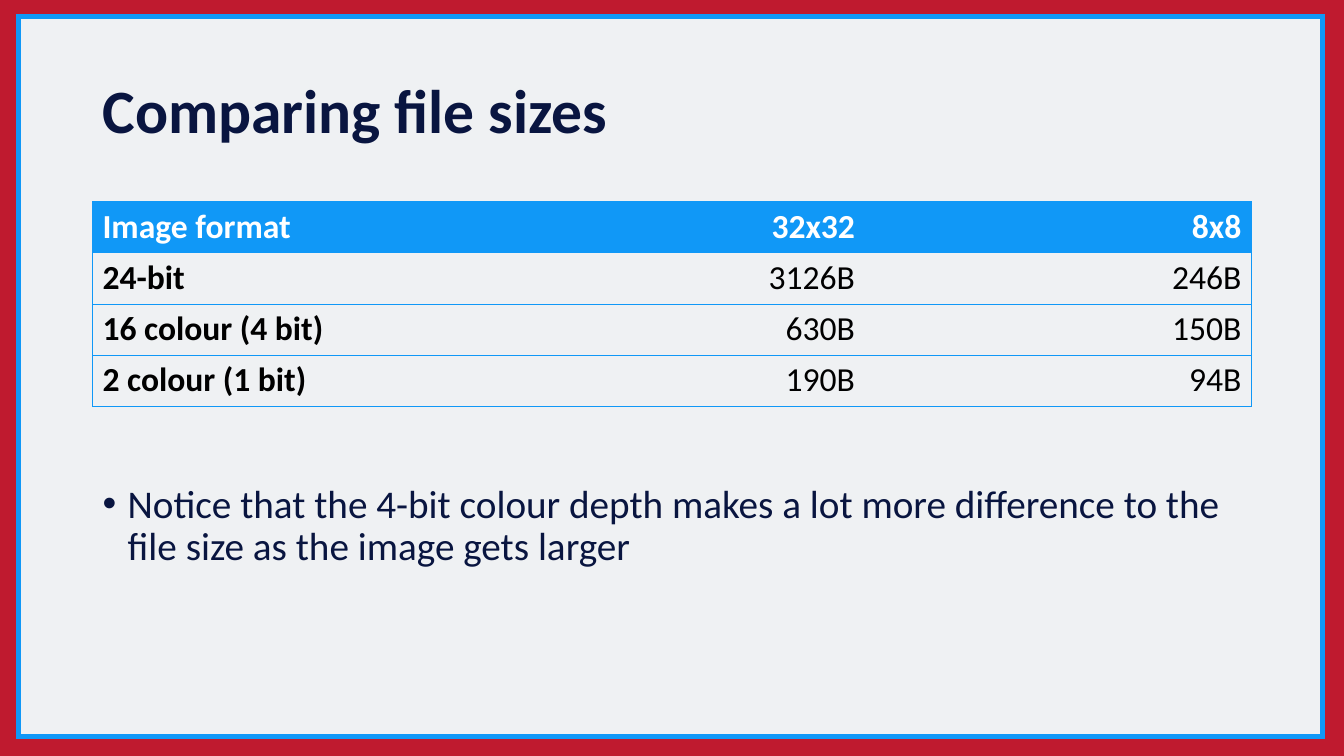
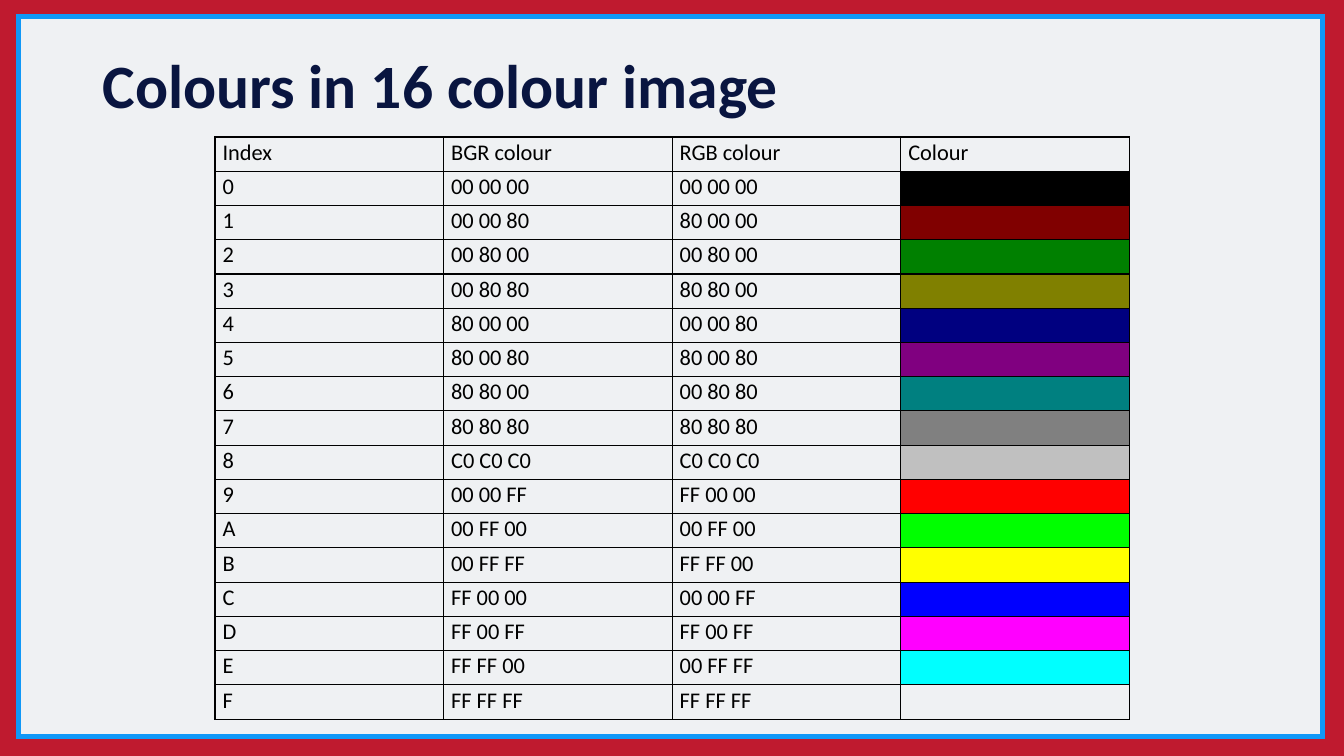
from pptx import Presentation
from pptx.dml.color import RGBColor
from pptx.enum.shapes import MSO_SHAPE, PP_PLACEHOLDER
from pptx.enum.text import MSO_ANCHOR, PP_ALIGN
from pptx.oxml import parse_xml
from pptx.oxml.ns import nsdecls
from pptx.util import Cm, Pt

RED, BLUE, NAVY, PAPER = "BF1A2F", "1098F7", "091540", "EFF1F3"
BLACK, WHITE = "000000", "FFFFFF"
FONT = "Calibri"
NO_TABLE_STYLE = "{2D5ABB26-0587-4C30-8999-92F81FD0307C}"
LEFT, WIDTH = Cm(2.33), Cm(29.21)
rgb = RGBColor.from_string


def style(paragraph, size, colour, bold=False, spacing=None):
    paragraph.line_spacing = spacing
    for run in paragraph.runs:
        run.font.name = FONT
        run.font.size = Pt(size)
        run.font.bold = bold
        run.font.color.rgb = rgb(colour)


def add_grid(slide, rows, left, top, width, height, colour, points, inner_verticals):
    """Add an unfilled table with ruled rows and return it."""
    columns = len(rows[0])
    frame = slide.shapes.add_table(len(rows), columns, left, top, width, height)
    frame.element.xpath(".//a:tableStyleId")[0].text = NO_TABLE_STYLE
    table = frame.table
    table.horz_banding = False
    for row_index, row in enumerate(rows):
        for column_index, text in enumerate(row):
            cell = table.cell(row_index, column_index)
            cell.text_frame.text = text
            cell.fill.background()
            edges = ["lnT", "lnB"]
            if inner_verticals or column_index == columns - 1:
                edges.insert(0, "lnR")
            if inner_verticals or column_index == 0:
                edges.insert(0, "lnL")
            properties = cell.fill._xPr
            for position, edge in enumerate(edges):
                properties.insert(position, parse_xml(
                    f'<a:{edge} {nsdecls("a")} w="{Pt(points)}"><a:solidFill>'
                    f'<a:srgbClr val="{colour}"/></a:solidFill></a:{edge}>'))
    return table


presentation = Presentation()
presentation.slide_width, presentation.slide_height = Cm(33.87), Cm(19.05)
master = presentation.slide_master
master.background.fill.solid()
master.background.fill.fore_color.rgb = rgb(RED)

content_layout, title_layout = presentation.slide_layouts[1], presentation.slide_layouts[5]
sizes_slide = presentation.slides.add_slide(content_layout)
palette_slide = presentation.slides.add_slide(title_layout)

# Keep only the layouts and placeholders that the slides use
for layout in list(presentation.slide_layouts):
    if layout not in (content_layout, title_layout):
        presentation.slide_layouts.remove(layout)
footer_types = (PP_PLACEHOLDER.DATE, PP_PLACEHOLDER.FOOTER, PP_PLACEHOLDER.SLIDE_NUMBER)
for template in (content_layout, title_layout, master):
    for placeholder in list(template.placeholders):
        if placeholder.placeholder_format.type in footer_types:
            template.shapes.element.remove(placeholder.element)

# The framed page is drawn once, then moved behind everything on the master
page = sizes_slide.shapes.add_shape(MSO_SHAPE.RECTANGLE, Cm(0.46), Cm(0.41), Cm(32.87), Cm(18.14))
page.shadow.inherit = False
page.fill.solid()
page.fill.fore_color.rgb = rgb(PAPER)
page.line.color.rgb = rgb(BLUE)
page.line.width = Pt(3.5)
page.element.xpath("./p:spPr/a:ln")[0].append(parse_xml(f'<a:miter {nsdecls("a")} lim="800000"/>'))
page.element.remove(page.element.txBody)
page.element.nvSpPr.cNvPr.set("id", "20")
master.shapes.element.insert(2, page.element)

for slide, heading, height in (
    (sizes_slide, "Comparing file sizes", Cm(3.68)),
    (palette_slide, "Colours in 16 colour image", Cm(2.44)),
):
    title = slide.shapes.title
    title.left, title.top, title.width, title.height = LEFT, Cm(1.02), WIDTH, height
    title.text_frame.text = heading
    title.text_frame.vertical_anchor = MSO_ANCHOR.MIDDLE
    paragraph = title.text_frame.paragraphs[0]
    paragraph.alignment = PP_ALIGN.LEFT
    style(paragraph, 44, NAVY, bold=True, spacing=0.9)

# Slide 1: file sizes
file_sizes = [
    ("Image format", "32x32", "8x8"),
    ("24-bit", "3126B", "246B"),
    ("16 colour (4 bit)", "630B", "150B"),
    ("2 colour (1 bit)", "190B", "94B"),
]
sizes_table = add_grid(sizes_slide, file_sizes, LEFT, Cm(5.08), WIDTH, Cm(5.08), BLUE, 0.5, False)
for row_index, row in enumerate(sizes_table.rows):
    for column_index, cell in enumerate(row.cells):
        is_header = row_index == 0
        paragraph = cell.text_frame.paragraphs[0]
        style(paragraph, 24, WHITE if is_header else BLACK, bold=is_header or column_index == 0)
        if column_index > 0:
            paragraph.alignment = PP_ALIGN.RIGHT
        if is_header:
            cell.fill.solid()
            cell.fill.fore_color.rgb = rgb(BLUE)

body = sizes_slide.placeholders[1]
body.left, body.top, body.width, body.height = LEFT, Cm(12.08), WIDTH, Cm(5.08)
body.text_frame.text = ("Notice that the 4-bit colour depth makes a lot more difference "
                        "to the file size as the image gets larger")
paragraph = body.text_frame.paragraphs[0]
style(paragraph, 28, NAVY, spacing=0.9)
paragraph.space_before = Pt(10)
bullet_properties = paragraph._p.get_or_add_pPr()
bullet_properties.set("marL", str(Pt(18)))
bullet_properties.set("indent", str(-Pt(18)))

# Slide 2: palette, each RGB value being its BGR bytes reversed
bgr_colours = [
    "00 00 00", "00 00 80", "00 80 00", "00 80 80", "80 00 00", "80 00 80", "80 80 00", "80 80 80",
    "C0 C0 C0", "00 00 FF", "00 FF 00", "00 FF FF", "FF 00 00", "FF 00 FF", "FF FF 00", "FF FF FF",
]
palette = [("Index", "BGR colour", "RGB colour", "Colour")]
for index, bgr in enumerate(bgr_colours):
    palette.append((f"{index:X}", bgr, " ".join(reversed(bgr.split())), ""))

palette_table = add_grid(palette_slide, palette, Cm(5.42), Cm(3.45), Cm(23.04), Cm(14.68), BLACK, 1, True)
for row_index, row in enumerate(palette_table.rows):
    for cell in row.cells:
        cell.margin_left = cell.margin_right = Cm(0.19)
        cell.margin_top = cell.margin_bottom = 0
        paragraph = cell.text_frame.paragraphs[0]
        style(paragraph, 16, BLACK, spacing=1.07)
        paragraph.space_after = Pt(8)
    if row_index > 0:
        swatch = palette[row_index][2].replace(" ", "")
        fill = row.cells[3].fill
        fill.solid()
        fill.fore_color.rgb = rgb(PAPER if swatch == WHITE else swatch)

presentation.save("out.pptx")
